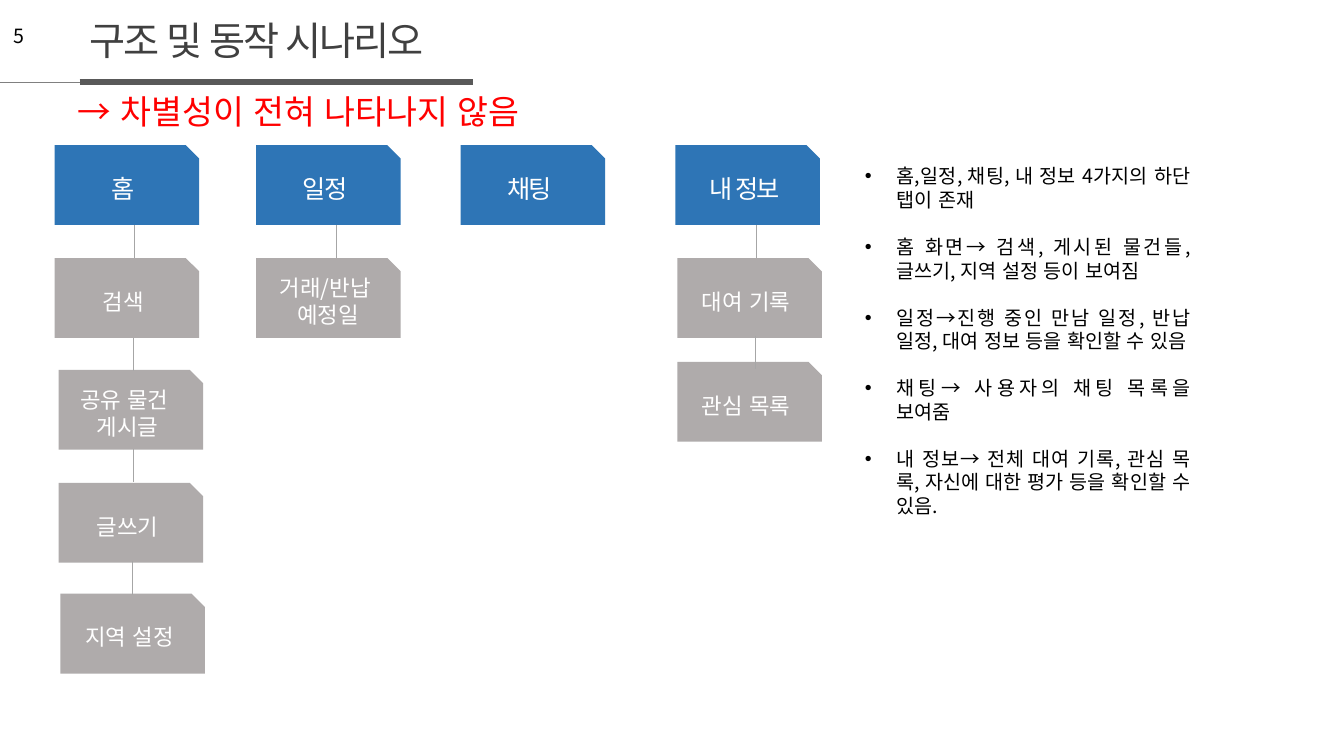
"""Build the app structure and scenario slide."""
from dataclasses import dataclass

from lxml import etree
from pptx import Presentation
from pptx.dml.color import RGBColor
from pptx.enum.shapes import MSO_CONNECTOR, MSO_SHAPE
from pptx.enum.text import MSO_ANCHOR, MSO_AUTO_SIZE, PP_ALIGN
from pptx.oxml.ns import qn
from pptx.slide import Slide
from pptx.text.text import TextFrame
from pptx.util import Pt

STRAIGHT = MSO_CONNECTOR.STRAIGHT
SNIPPED = MSO_SHAPE.SNIP_1_RECTANGLE
TOP, MIDDLE = MSO_ANCHOR.TOP, MSO_ANCHOR.MIDDLE
LEFT, CENTER, JUSTIFY = PP_ALIGN.LEFT, PP_ALIGN.CENTER, PP_ALIGN.JUSTIFY
NO_AUTOFIT = MSO_AUTO_SIZE.NONE

KOREAN_FONT = "Noto Sans CJK KR"
LINE_PITCH = 1.2
COLORS = {
    "tab": "2E75B6", "page": "AFABAB", "link": "A6A6A6", "thin rule": "808080",
    "thick rule": "595959", "title": "404040", "text": "000000",
    "remark": "FF0000", "node text": "FFFFFF",
}
NODE_WIDTH, NODE_HEIGHT = 103.2, 57
TAB_TOP = 103.7
LINK_LENGTH = 23.8
BULLET_INDENT = 22.5


@dataclass(frozen=True)
class Style:
    size: float
    color: str
    font: str = KOREAN_FONT
    spacing: float = 0
    align: PP_ALIGN = LEFT
    anchor: MSO_ANCHOR = TOP
    gap: float = 0


@dataclass(frozen=True)
class Node:
    text: str
    left: float
    top: float


@dataclass(frozen=True)
class Line:
    left: float
    top: float
    right: float
    bottom: float
    color: str
    weight: float = 0.5


TITLE_STYLE = Style(28, "title", font="Arial", spacing=-1.5)
NUMBER_STYLE = Style(14, "text")
REMARK_STYLE = Style(24, "remark")
BODY_STYLE = Style(14, "text", align=JUSTIFY, gap=16.8)
TAB_STYLE = Style(18, "node text", spacing=-1.5, align=CENTER, anchor=MIDDLE)
PAGE_STYLE = Style(16, "node text", align=CENTER, anchor=MIDDLE)

TABS = [
    Node(text, left, TAB_TOP)
    for text, left in (("홈", 39), ("일정", 183), ("채팅", 329), ("내 정보", 482.4))
]
PAGES = [
    Node("검색", 39, 184.3),
    Node("공유 물건 \n게시글", 41.8, 264.2),
    Node("글쓰기", 41.8, 344.9),
    Node("지역 설정", 43.2, 424.1),
    Node("거래/반납\n 예정일", 183, 184.3),
    Node("대여 기록", 483.8, 184.3),
    Node("관심 목록", 483.8, 258.5),
]
LINK_STARTS = [
    (95.8, 160.6), (95.4, 241.2), (95.4, 320.4), (94.5, 401),
    (240.5, 160.6), (540.5, 160.6), (539.3, 240),
]
RULES = [
    Line(0, 58.5, 56.9, 58.5, "thin rule"),
    Line(56.9, 58.5, 337.7, 58.5, "thick rule", 4.5),
]
NOTES = [
    "홈,일정, 채팅, 내 정보 4가지의 하단 탭이 존재",
    "홈 화면→ 검색, 게시된 물건들, 글쓰기, 지역 설정 등이 보여짐",
    "일정→진행 중인 만남 일정, 반납 일정, 대여 정보 등을 확인할 수 있음",
    "채팅→ 사용자의 채팅 목록을 보여줌",
    "내 정보→ 전체 대여 기록, 관심 목록, 자신에 대한 평가 등을 확인할 수 있음.",
]


def rgb(name: str) -> RGBColor:
    """Return the named colour."""
    return RGBColor.from_string(COLORS[name])


def write(frame: TextFrame, text: str, style: Style) -> None:
    """Fill a text frame with one paragraph per line of text."""
    frame.text = text
    frame.word_wrap = True
    frame.auto_size = NO_AUTOFIT
    frame.vertical_anchor = style.anchor
    for paragraph in frame.paragraphs:
        paragraph.alignment = style.align
        paragraph.line_spacing = Pt(style.size * LINE_PITCH)
        paragraph.space_before = Pt(0)
        paragraph.space_after = Pt(style.gap)
        paragraph.font.size = Pt(style.size)
        paragraph.font.name = style.font
        paragraph.font.color.rgb = rgb(style.color)
        properties = paragraph._p.pPr.find(qn("a:defRPr"))
        properties.set("lang", "ko-KR")
        properties.set("spc", str(round(style.spacing * 100)))
        etree.SubElement(properties, qn("a:ea"), typeface=KOREAN_FONT)


def place(shape, left: float, top: float, width: float, height: float) -> None:
    """Move and size a placeholder."""
    shape.left, shape.top = Pt(left), Pt(top)
    shape.width, shape.height = Pt(width), Pt(height)


def add_label(slide: Slide, text: str, style: Style, left: float, top: float,
              width: float, height: float) -> None:
    """Add a text box."""
    box = slide.shapes.add_textbox(Pt(left), Pt(top), Pt(width), Pt(height))
    write(box.text_frame, text, style)


def add_node(slide: Slide, node: Node, fill: str, style: Style) -> None:
    """Add a snipped box of the structure chart."""
    shape = slide.shapes.add_shape(
        SNIPPED, Pt(node.left), Pt(node.top), Pt(NODE_WIDTH), Pt(NODE_HEIGHT))
    shape.shadow.inherit = False
    shape.fill.solid()
    shape.fill.fore_color.rgb = rgb(fill)
    shape.line.fill.background()
    write(shape.text_frame, node.text, style)


def add_line(slide: Slide, line: Line) -> None:
    """Add a straight line without shadow."""
    connector = slide.shapes.add_connector(
        STRAIGHT, Pt(line.left), Pt(line.top), Pt(line.right), Pt(line.bottom))
    connector.line.color.rgb = rgb(line.color)
    connector.line.width = Pt(line.weight)
    etree.SubElement(connector._element.spPr, qn("a:effectLst"))


def main() -> None:
    """Build and save the presentation."""
    presentation = Presentation()
    presentation.slide_width, presentation.slide_height = Pt(960), Pt(540)
    slide = presentation.slides.add_slide(presentation.slide_layouts[1])

    title, body = slide.shapes.title, slide.placeholders[1]
    place(title, 56.9, 7.9, 280.8, 41)
    write(title.text_frame, "구조 및 동작 시나리오", TITLE_STYLE)
    place(body, 610.6, 113.8, 247, 278.6)
    write(body.text_frame, "\n".join(NOTES), BODY_STYLE)
    for paragraph in body.text_frame.paragraphs:
        properties = paragraph._p.get_or_add_pPr()
        properties.set("marL", str(Pt(BULLET_INDENT)))
        properties.set("indent", str(-Pt(BULLET_INDENT)))

    add_label(slide, "5", NUMBER_STYLE, 2.9, 13.7, 22.3, 24.5)
    add_label(slide, "→ 차별성이 전혀 나타나지 않음", REMARK_STYLE, 48.2, 61.2, 363.6, 36)
    for tab in TABS:
        add_node(slide, tab, "tab", TAB_STYLE)
    for page in PAGES:
        add_node(slide, page, "page", PAGE_STYLE)
    links = [Line(x, y, x, y + LINK_LENGTH, "link") for x, y in LINK_STARTS]
    for line in RULES + links:
        add_line(slide, line)
    presentation.save("out.pptx")


if __name__ == "__main__":
    main()
